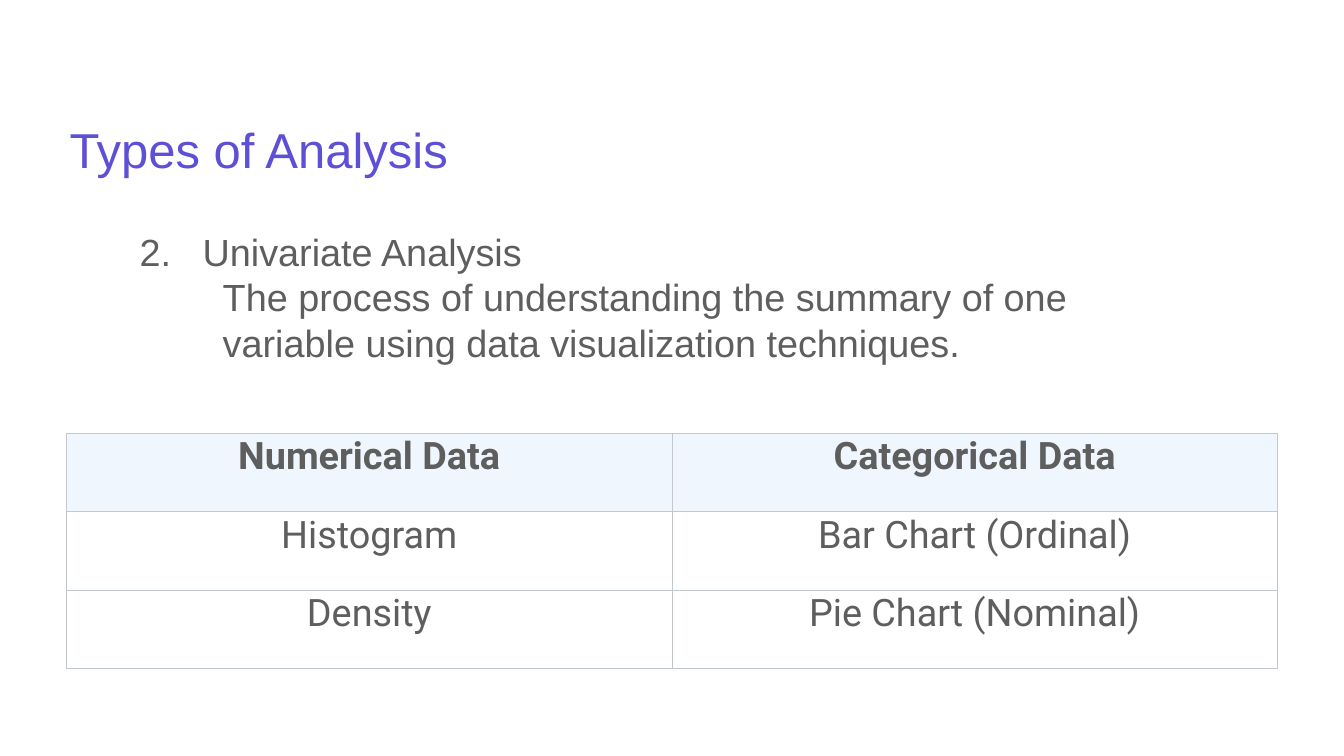
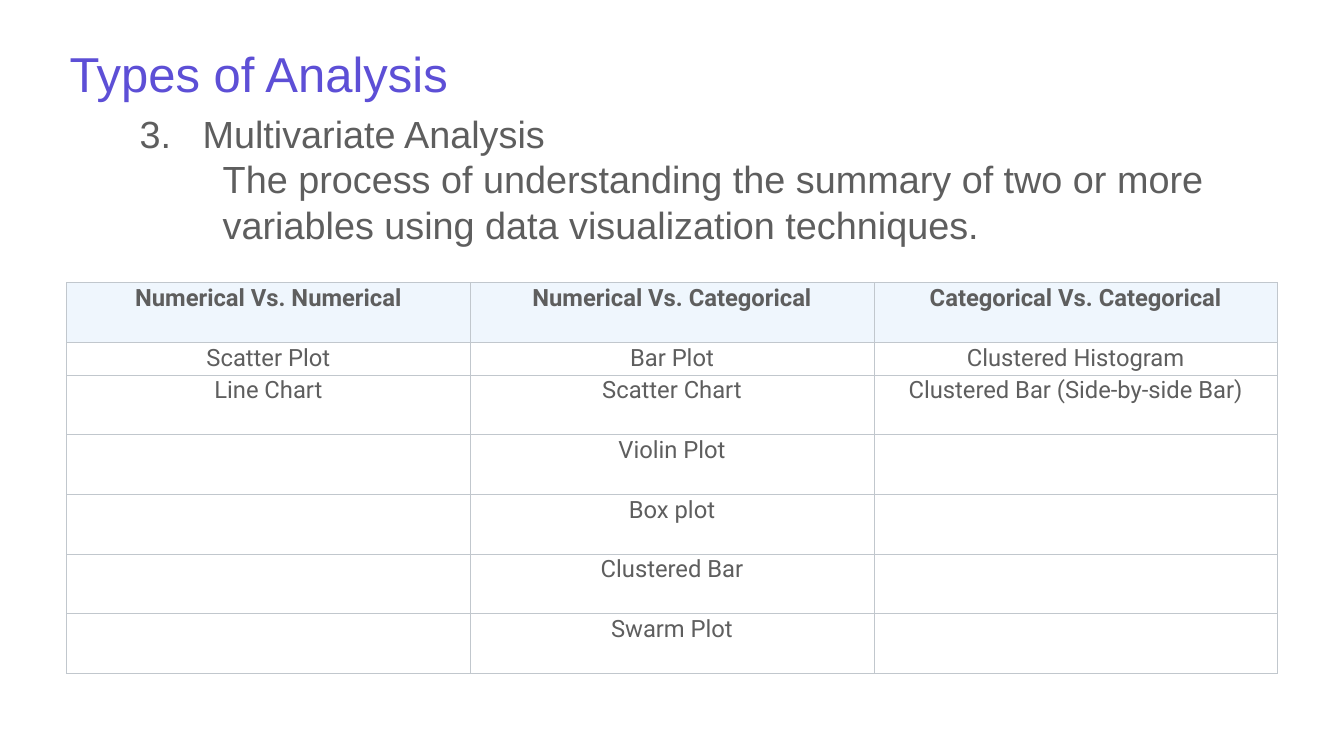
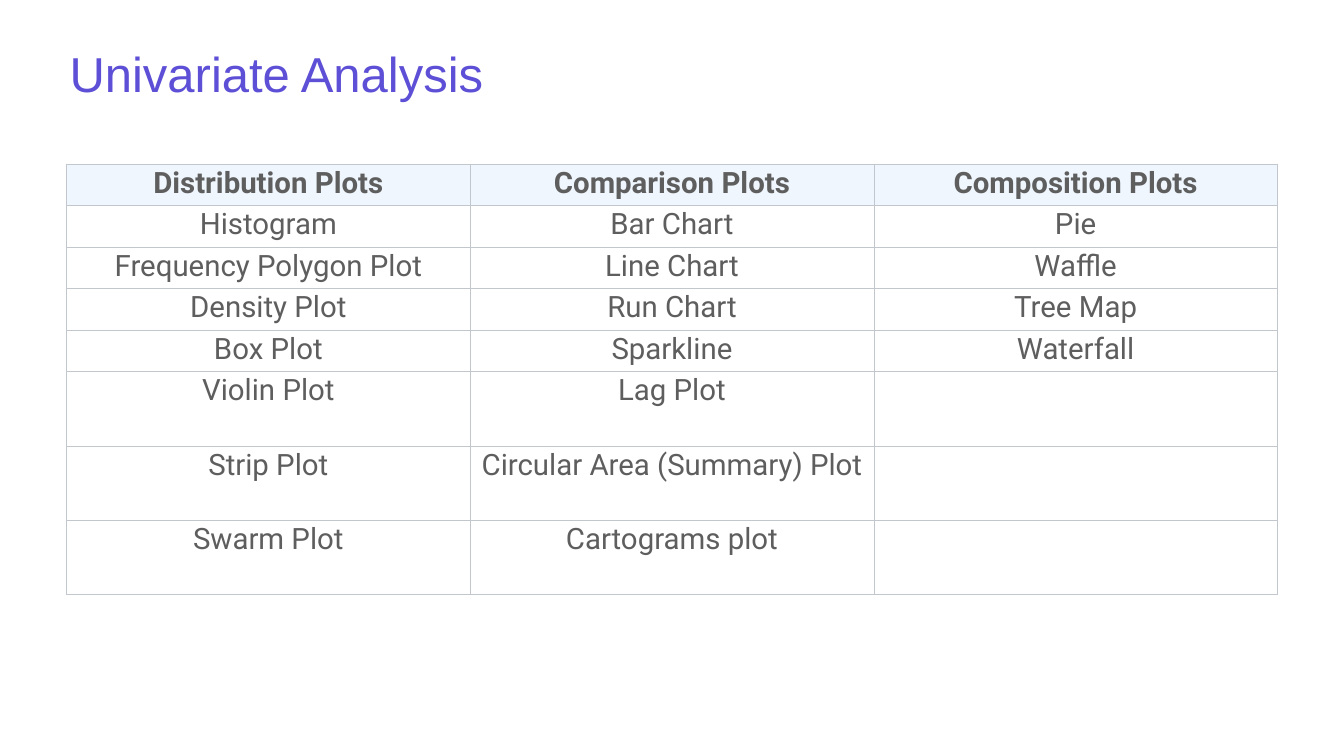
from dataclasses import dataclass

from lxml.etree import SubElement
from pptx import Presentation
from pptx.dml.color import RGBColor
from pptx.enum.text import MSO_ANCHOR as Anchor, PP_ALIGN as Align
from pptx.oxml.ns import qn
from pptx.slide import Slide
from pptx.table import _Cell as Cell
from pptx.text.text import TextFrame, _Paragraph as Paragraph
from pptx.util import Inches, Pt


@dataclass(frozen=True)
class Theme:
    title: str = "5D4FD6"
    text: str = "5E5E5E"
    header: str = "EFF6FD"
    border: str = "C1C7CD"
    text_font: str = "Arial"
    table_font: str = "Roboto"
    title_size: int = 70
    body_size: int = 54
    body_pitch: int = 65
    border_width: float = 0.6


@dataclass(frozen=True)
class Topic:
    top: float
    number: int
    name: str
    lines: tuple[str, ...]


@dataclass(frozen=True)
class Grid:
    top: float
    size: int
    heights: tuple[float, ...]
    columns: tuple[tuple[str, ...], ...]


@dataclass(frozen=True)
class Page:
    title: str
    title_top: float
    grid: Grid
    topic: Topic | None = None


THEME = Theme()
LEFT, WIDTH = 1.32, 24.03
INSET = 0.06
TOPIC_LEFT, TOPIC_WIDTH, TOPIC_HEIGHT = 2.71, 21.25, 7.18
NAME_INDENT, LINE_INDENT = 1.25, 1.65

PAGES = (
    Page(
        "Types of Analysis", 1.64,
        Grid(8.59, 54, (1.56, 1.55, 1.56), (
            ("Numerical Data", "Histogram", "Density"),
            ("Categorical Data", "Bar Chart (Ordinal)", "Pie Chart (Nominal)"),
        )),
        Topic(4.53, 2, "Univariate Analysis", (
            "The process of understanding the summary of one",
            "variable using data visualization techniques.",
        )),
    ),
    Page(
        "Types of Analysis", 0.14,
        Grid(5.6, 34, (1.19, 0.63) + (1.18, 1.19) * 2 + (1.18,), (
            ("Numerical Vs. Numerical", "Scatter Plot", "Line Chart"),
            ("Numerical Vs. Categorical", "Bar Plot", "Scatter Chart", "Violin Plot",
             "Box plot", "Clustered Bar", "Swarm Plot"),
            ("Categorical Vs. Categorical", "Clustered Histogram",
             "Clustered Bar (Side-by-side Bar)"),
        )),
        Topic(2.19, 3, "Multivariate Analysis", (
            "The process of understanding the summary of two or more",
            "variables using data visualization techniques.",
        )),
    ),
    Page(
        "Univariate Analysis", 0.14,
        Grid(3.25, 42, (0.82, 0.83) * 2 + (0.82, 1.48, 1.47, 1.48), (
            ("Distribution Plots", "Histogram", "Frequency Polygon Plot", "Density Plot",
             "Box Plot", "Violin Plot", "Strip Plot", "Swarm Plot"),
            ("Comparison Plots", "Bar Chart", "Line Chart", "Run Chart", "Sparkline",
             "Lag Plot", "Circular Area (Summary) Plot", "Cartograms plot"),
            ("Composition Plots", "Pie", "Waffle", "Tree Map", "Waterfall"),
        )),
    ),
)


def write(p: Paragraph, text: str, color: str, **font: object) -> None:
    r = p.add_run()
    r.text = text
    for name, value in font.items():
        setattr(r.font, name, value)
    r.font.color.rgb = RGBColor.from_string(color)


def add_text_frame(s: Slide, left: float, top: float, width: float, height: float,
                   **layout: object) -> TextFrame:
    tf = s.shapes.add_textbox(*map(Inches, (left, top, width, height))).text_frame
    base = {f"margin_{side}": Inches(INSET) for side in ("left", "top", "right", "bottom")}
    for name, value in {"word_wrap": True, **base, **layout}.items():
        setattr(tf, name, value)
    return tf


def add_title(s: Slide, text: str, top: float) -> None:
    tf = add_text_frame(s, LEFT, top, WIDTH, 1.95, vertical_anchor=Anchor.BOTTOM)
    write(tf.paragraphs[0], text, THEME.title,
          name=THEME.text_font, size=Pt(THEME.title_size))


def indent(p: Paragraph, left: float, number: int | None = None) -> None:
    """Indent a paragraph; with a number, hang an automatic one before it."""
    pPr = p._p.get_or_add_pPr()
    pPr.set("marL", str(Inches(left)))
    if number is not None:
        pPr.set("indent", str(-Inches(left)))
        SubElement(pPr, qn("a:buAutoNum"), type="arabicPeriod", startAt=str(number))


def add_topic(s: Slide, topic: Topic) -> None:
    tf = add_text_frame(s, TOPIC_LEFT, topic.top, TOPIC_WIDTH, TOPIC_HEIGHT,
                        vertical_anchor=Anchor.TOP, margin_top=0, margin_right=0)
    for i, text in enumerate((topic.name, *topic.lines)):
        p = tf.add_paragraph() if i else tf.paragraphs[0]
        p.line_spacing = Pt(THEME.body_pitch)
        if i:
            indent(p, LINE_INDENT)
        else:
            indent(p, NAME_INDENT, topic.number)
        write(p, text, THEME.text, name=THEME.text_font, size=Pt(THEME.body_size))


def set_borders(cell: Cell) -> None:
    tcPr = cell._tc.get_or_add_tcPr()
    for i, side in enumerate("LRTB"):
        ln = SubElement(tcPr, qn(f"a:ln{side}"), w=str(Pt(THEME.border_width)))
        fill = SubElement(ln, qn("a:solidFill"))
        SubElement(fill, qn("a:srgbClr"), val=THEME.border)
        tcPr.insert(i, ln)


def style_cell(cell: Cell, header: bool) -> None:
    cell.margin_left = cell.margin_right = Inches(0.07)
    cell.margin_top = cell.margin_bottom = Inches(0.04)
    if header:
        cell.fill.solid()
        cell.fill.fore_color.rgb = RGBColor.from_string(THEME.header)
    else:
        cell.fill.background()
    set_borders(cell)


def add_grid(s: Slide, grid: Grid) -> None:
    rows, cols = len(grid.heights), len(grid.columns)
    box = map(Inches, (LEFT, grid.top, WIDTH, sum(grid.heights)))
    table = s.shapes.add_table(rows, cols, *box).table
    for row, height in zip(table.rows, grid.heights):
        row.height = Inches(height)
    for c, texts in enumerate(grid.columns):
        for r in range(rows):
            cell = table.cell(r, c)
            style_cell(cell, header=r == 0)
            if r < len(texts):
                p = cell.text_frame.paragraphs[0]
                p.alignment = Align.CENTER
                write(p, texts[r], THEME.text, name=THEME.table_font,
                      size=Pt(grid.size), bold=r == 0)


def main() -> None:
    prs = Presentation()
    prs.slide_width, prs.slide_height = Inches(26.67), Inches(15)
    for page in PAGES:
        s = prs.slides.add_slide(prs.slide_layouts[6])
        add_title(s, page.title, page.title_top)
        if page.topic:
            add_topic(s, page.topic)
        add_grid(s, page.grid)
    prs.save("out.pptx")


if __name__ == "__main__":
    main()
